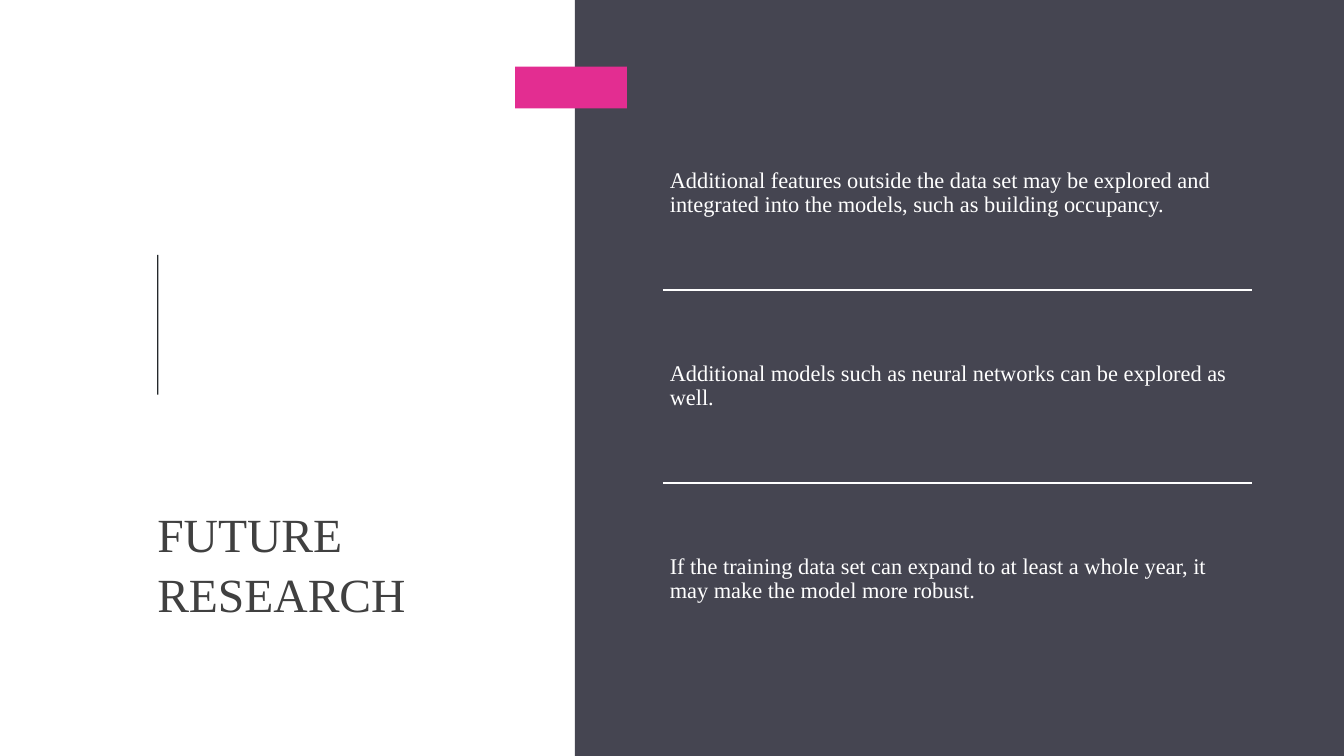
from pptx import Presentation
from pptx.dml.color import RGBColor
from pptx.enum import shapes, text
from pptx.oxml.ns import qn
from pptx.util import Pt
from lxml import etree

WHITE = RGBColor(0xFF, 0xFF, 0xFF)
SLATE = RGBColor(0x45, 0x45, 0x51)
INK = RGBColor(0x24, 0x28, 0x2B)
PINK = RGBColor(0xE3, 0x2D, 0x91)
CHARCOAL = RGBColor(0x40, 0x40, 0x40)


class Painter:
    """Draws styled elements on one slide, with lengths in points."""

    font = "Times New Roman"

    def __init__(self, slide):
        self.slide = slide

    def block(self, left, top, width, height, color):
        block = self.slide.shapes.add_shape(
            shapes.MSO_SHAPE.RECTANGLE, Pt(left), Pt(top), Pt(width), Pt(height))
        block.shadow.inherit = False
        block.fill.solid()
        block.fill.fore_color.rgb = color
        block.line.fill.background()

    def rule(self, left, right, y, color, weight):
        rule = self.slide.shapes.add_connector(
            shapes.MSO_CONNECTOR.STRAIGHT, Pt(left), Pt(y), Pt(right), Pt(y))
        rule.line.color.rgb = color
        rule.line.width = Pt(weight)
        etree.SubElement(rule._element.spPr, qn("a:effectLst"))

    def words(self, left, top, width, height, wording, size, color,
              anchor, inset=0, spacing=1.0):
        box = self.slide.shapes.add_textbox(Pt(left), Pt(top), Pt(width), Pt(height))
        frame = box.text_frame
        frame.word_wrap = True
        frame.vertical_anchor = anchor
        frame.margin_left = frame.margin_right = Pt(inset)
        frame.margin_top = frame.margin_bottom = Pt(inset)
        frame.text = wording
        paragraph = frame.paragraphs[0]
        paragraph.line_spacing = spacing
        for run in paragraph.runs:
            run.font.name = self.font
            run.font.size = Pt(size)
            run.font.color.rgb = color


deck = Presentation()
deck.slide_width, deck.slide_height = Pt(960), Pt(540)
painter = Painter(deck.slides.add_slide(deck.slide_layouts[6]))

painter.block(410.6, 0, 549.4, 540, SLATE)
painter.block(112.2, 182, 1, 100, INK)
painter.block(367.9, 47.6, 80, 29.8, PINK)
painter.words(112.4, 317.5, 288, 126.7, "FUTURE RESEARCH", 34, CHARCOAL,
              text.MSO_ANCHOR.BOTTOM, spacing=1.05)

IDEAS = [
    "Additional features outside the data set may be explored and "
    "integrated into the models, such as building occupancy.",
    "Additional models such as neural networks can be explored as well.",
    "If the training data set can expand to at least a whole year, "
    "it may make the model more robust.",
]
LEFT, TOP, WIDTH, PITCH = 473.5, 69.3, 421, 137.8

for row, idea in enumerate(IDEAS):
    row_top = TOP + row * PITCH
    if row:
        painter.rule(LEFT, LEFT + WIDTH, row_top, WHITE, 1.75)
    painter.words(LEFT, row_top, WIDTH, PITCH, idea, 16, WHITE,
                  text.MSO_ANCHOR.MIDDLE, inset=5, spacing=0.9)

deck.save("out.pptx")
